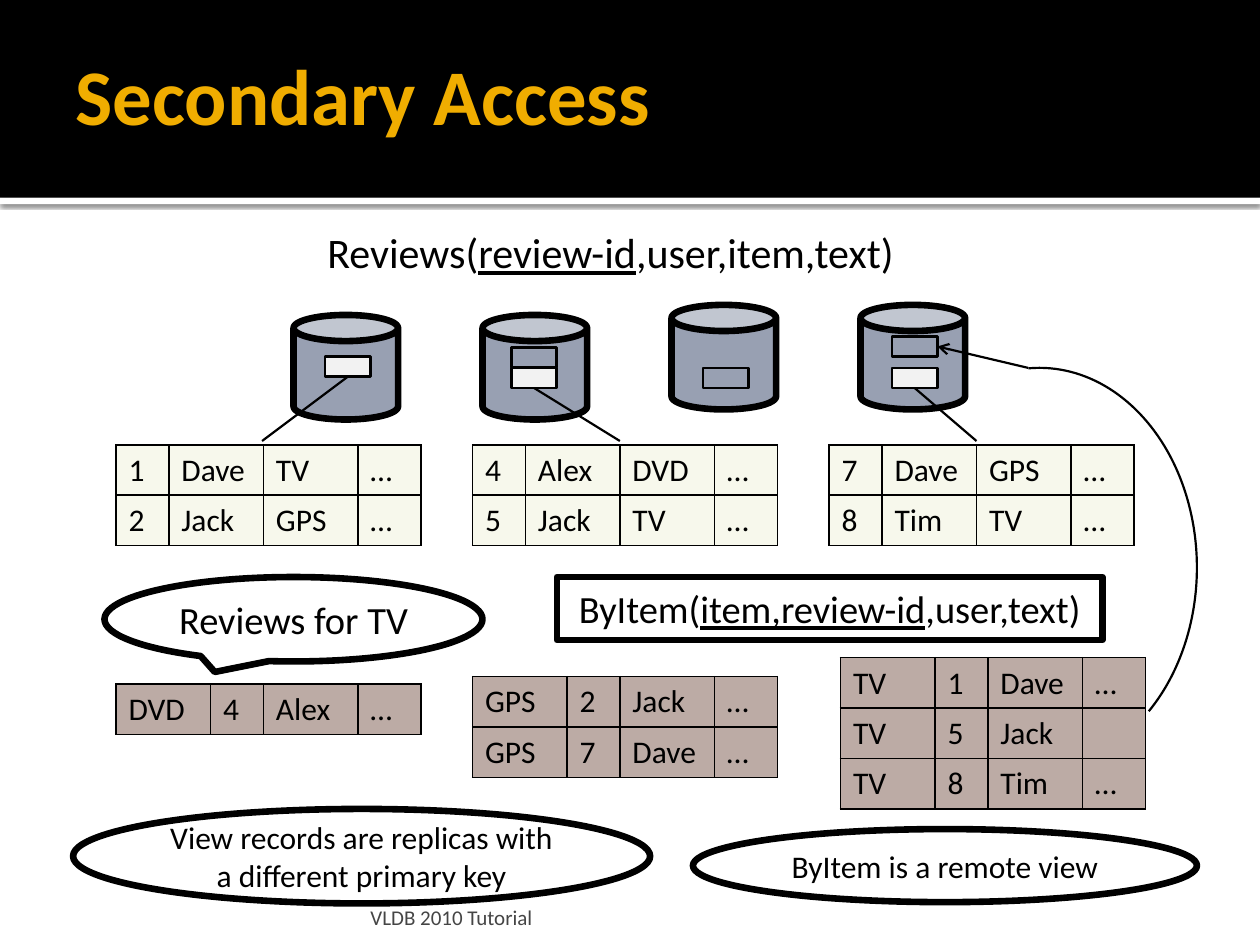
from dataclasses import dataclass
from lxml import etree
from pptx import Presentation
from pptx.dml.color import RGBColor
from pptx.enum.shapes import MSO_CONNECTOR, MSO_SHAPE as SHAPE
from pptx.enum.text import MSO_ANCHOR as ANCHOR, MSO_AUTO_SIZE, PP_ALIGN as ALIGN
from pptx.oxml import parse_xml
from pptx.oxml.ns import nsdecls, qn
from pptx.util import Inches, Pt


@dataclass(frozen=True)
class Theme:
    font: str = "Calibri"
    black: str = "000000"
    white: str = "FFFFFF"
    title: str = "F0AD00"
    footer: str = "454545"
    disk: str = "98A0B2"
    record: str = "F2F2F2"
    base_table: str = "F7F8EC"
    view_table: str = "BCABA5"
    title_size: float = 45
    schema_size: float = 24
    label_size: float = 22
    body_size: float = 18
    footer_size: float = 12
    heavy: float = 3.78
    medium: float = 1.5
    thin: float = 1.25
    border: float = 1


THEME = Theme()
ROW_HEIGHT = 0.4
BASE_COLUMNS = (0.42, 0.75, 0.75, 0.5)
VIEW_COLUMNS = (0.75, 0.42, 0.75, 0.5)


def rgb(color):
    return RGBColor.from_string(color)


def add_runs(paragraph, runs, size, color=THEME.black, bold=False):
    """Each run is a (text, underlined) pair."""
    for text, underlined in runs:
        run = paragraph.add_run()
        run.text = text
        font = run.font
        font.name, font.size, font.bold = THEME.font, Pt(size), bold
        font.underline = underlined
        font.color.rgb = rgb(color)


def add_shape(slide, kind, box, fill=None, line=None):
    shape = slide.shapes.add_shape(kind, *map(Inches, box))
    shape.shadow.inherit = False
    if fill:
        shape.fill.solid()
        shape.fill.fore_color.rgb = rgb(fill)
    else:
        shape.fill.background()
    if line:
        shape.line.color.rgb = rgb(THEME.black)
        shape.line.width = Pt(line)
    else:
        shape.line.fill.background()
    return shape


def add_text(slide, box, runs, size, color=THEME.black, bold=False,
             anchor=ANCHOR.TOP, wrap=True, insets=(0.1, 0.05, 0.1, 0.05)):
    frame = slide.shapes.add_textbox(*map(Inches, box)).text_frame
    frame.word_wrap = wrap
    frame.auto_size = MSO_AUTO_SIZE.NONE if wrap else MSO_AUTO_SIZE.SHAPE_TO_FIT_TEXT
    frame.vertical_anchor = anchor
    (frame.margin_left, frame.margin_top,
     frame.margin_right, frame.margin_bottom) = map(Inches, insets)
    add_runs(frame.paragraphs[0], runs, size, color, bold)


def add_label(slide, kind, box, runs, size):
    """Outlined shape with centred text."""
    shape = add_shape(slide, kind, box, line=THEME.heavy)
    frame = shape.text_frame
    frame.word_wrap = True
    frame.vertical_anchor = ANCHOR.MIDDLE
    frame.paragraphs[0].alignment = ALIGN.CENTER
    add_runs(frame.paragraphs[0], runs, size)


def add_line(slide, start, end, arrow=False):
    line = slide.shapes.add_connector(
        MSO_CONNECTOR.STRAIGHT, *map(Inches, (*start, *end)))
    line.line.color.rgb = rgb(THEME.black)
    line.line.width = Pt(THEME.thin)
    properties = line._element.spPr
    if arrow:
        etree.SubElement(properties.find(qn("a:ln")), qn("a:tailEnd"), type="arrow")
    etree.SubElement(properties, qn("a:effectLst"))
    return line


def add_records(slide, left, top, columns, rows, fill):
    """Bordered grid of records."""
    table = slide.shapes.add_table(
        len(rows), len(columns), Inches(left), Inches(top),
        Inches(sum(columns)), Inches(ROW_HEIGHT * len(rows))).table
    table.first_row = table.horz_banding = False
    for column, width in zip(table.columns, columns):
        column.width = Inches(width)
    for row, values in enumerate(rows):
        for column, value in enumerate(values):
            cell = table.cell(row, column)
            properties = cell._tc.get_or_add_tcPr()
            for side in ("lnL", "lnR", "lnT", "lnB"):
                properties.append(parse_xml(
                    f'<a:{side} {nsdecls("a")} w="{Pt(THEME.border)}"><a:solidFill>'
                    f'<a:srgbClr val="{THEME.black}"/></a:solidFill></a:{side}>'))
            cell.fill.solid()
            cell.fill.fore_color.rgb = rgb(fill)
            if value:
                add_runs(cell.text_frame.paragraphs[0], [(value, False)], THEME.body_size)


def add_header(slide, left, top, width, height):
    strip = add_shape(slide, SHAPE.RECTANGLE, (left, top + height, width, 0.05), THEME.white)
    effects = strip._element.spPr.find(qn("a:effectLst"))
    effects.append(parse_xml(
        f'<a:outerShdw {nsdecls("a")} blurRad="{Pt(2.5)}" dist="{Pt(0.8)}" dir="5400000" '
        f'algn="tl" rotWithShape="0"><a:srgbClr val="{THEME.black}">'
        '<a:alpha val="60000"/></a:srgbClr></a:outerShdw>'))
    add_shape(slide, SHAPE.RECTANGLE, (left, top, width, height), THEME.black)
    add_text(slide, (left + 0.5, top + 0.17, width - 1, 1.16), [("Secondary Access", False)],
             THEME.title_size, THEME.title, True, ANCHOR.MIDDLE,
             insets=(0.1, 0.05, 0.05, 0.05))


def add_disk(slide, left, top, records):
    """Disk holding records, each an (x, y, fill) offset; returns the record shapes."""
    add_shape(slide, SHAPE.CAN, (left, top, 0.83, 0.83), THEME.disk, THEME.heavy)
    return [add_shape(slide, SHAPE.RECTANGLE, (left + x, top + y, 0.36, 0.16),
                      fill, THEME.medium)
            for x, y, fill in records]


def add_storage(slide, left, top):
    """Four disks with the base table partitions; returns the remote view record."""
    light = THEME.record
    disks = [(0.08, [(0.25, 0.33, light)]),
             (0.08, [(0.23, 0.26, None), (0.23, 0.42, light)]),
             (0, [(0.25, 0.5, None)]),
             (0, [(0.25, 0.25, None), (0.25, 0.5, light)])]
    records = [add_disk(slide, left + 1.5 * index, top + drop, contents)
               for index, (drop, contents) in enumerate(disks)]

    partitions = [
        (0.92, 2.08, records[0][-1], [("1", "Dave", "TV", "…"), ("2", "Jack", "GPS", "…")]),
        (3.75, 4.92, records[1][-1], [("4", "Alex", "DVD", "…"), ("5", "Jack", "TV", "…")]),
        (6.58, 7.75, records[3][-1], [("7", "Dave", "GPS", "…"), ("8", "Tim", "TV", "…")])]
    for table_left, line_end, record, rows in partitions:
        line = add_line(slide, (line_end, top + 1), (line_end, top + 1.08))
        line.begin_connect(record, 2)
        add_records(slide, table_left, top + 1.11, BASE_COLUMNS, rows, THEME.base_table)
    return records[3][0]


def add_view(slide, left, top):
    """ByItem view: its schema, query callout and partitions."""
    add_label(slide, SHAPE.RECTANGLE, (left + 3.59, top, 4.33, 0.5),
              [("ByItem(", False), ("item,review-id", True), (",user,text)", False)],
              THEME.label_size)
    partitions = [
        (0.09, 0.85, [("DVD", "4", "Alex", "…")]),
        (2.92, 0.79, [("GPS", "2", "Jack", "…"), ("GPS", "7", "Dave", "…")]),
        (5.84, 0.64, [("TV", "1", "Dave", "…"), ("TV", "5", "Jack", ""),
                      ("TV", "8", "Tim", "…")])]
    for x, y, rows in partitions:
        add_records(slide, left + x, top + y, VIEW_COLUMNS, rows, THEME.view_table)
    add_label(slide, SHAPE.OVAL_CALLOUT, (left, top, 3, 0.67),
              [("Reviews for TV", False)], THEME.label_size)


def add_remote_link(slide, left, top, record):
    """Curve from the TV view partition, ending in an arrow at its disk record."""
    arc = add_shape(slide, SHAPE.ARC, (left, top, 2.5, 3.17), line=THEME.thin)
    arc.adjustments[0], arc.adjustments[1] = 160.101, 31.635
    arrow = add_line(slide, (left + 1.16, top), (left + 0.44, top - 0.17), arrow=True)
    arrow.end_connect(record, 3)


def add_notes_row(slide, left, top):
    """Two remarks and the footer."""
    add_label(slide, SHAPE.OVAL, (left, top, 4.58, 0.75),
              [("View records are replicas with a different primary key", False)],
              THEME.body_size)
    add_label(slide, SHAPE.OVAL, (left + 4.92, top + 0.16, 4, 0.58),
              [("ByItem is a remote view", False)], THEME.body_size)
    add_text(slide, (left + 2.31, top + 0.66, 6.02, 0.3), [("VLDB 2010 Tutorial", False)],
             THEME.footer_size, THEME.footer, anchor=ANCHOR.BOTTOM,
             insets=(0.05, 0.05, 0.05, 0))


def main():
    presentation = Presentation()
    presentation.slide_width, presentation.slide_height = Inches(10), Inches(7.5)
    slide = presentation.slides.add_slide(presentation.slide_layouts[6])
    add_header(slide, 0, 0, 10, 1.57)
    add_text(slide, (2.5, 1.75, 4.72, 0.5),
             [("Reviews(", False), ("review-id", True), (",user,item,text)", False)],
             THEME.schema_size, wrap=False)
    remote_record = add_storage(slide, 2.33, 2.42)
    add_view(slide, 0.83, 4.58)
    add_notes_row(slide, 0.58, 6.42)
    add_remote_link(slide, 7, 2.92, remote_record)
    presentation.save("out.pptx")


if __name__ == "__main__":
    main()
